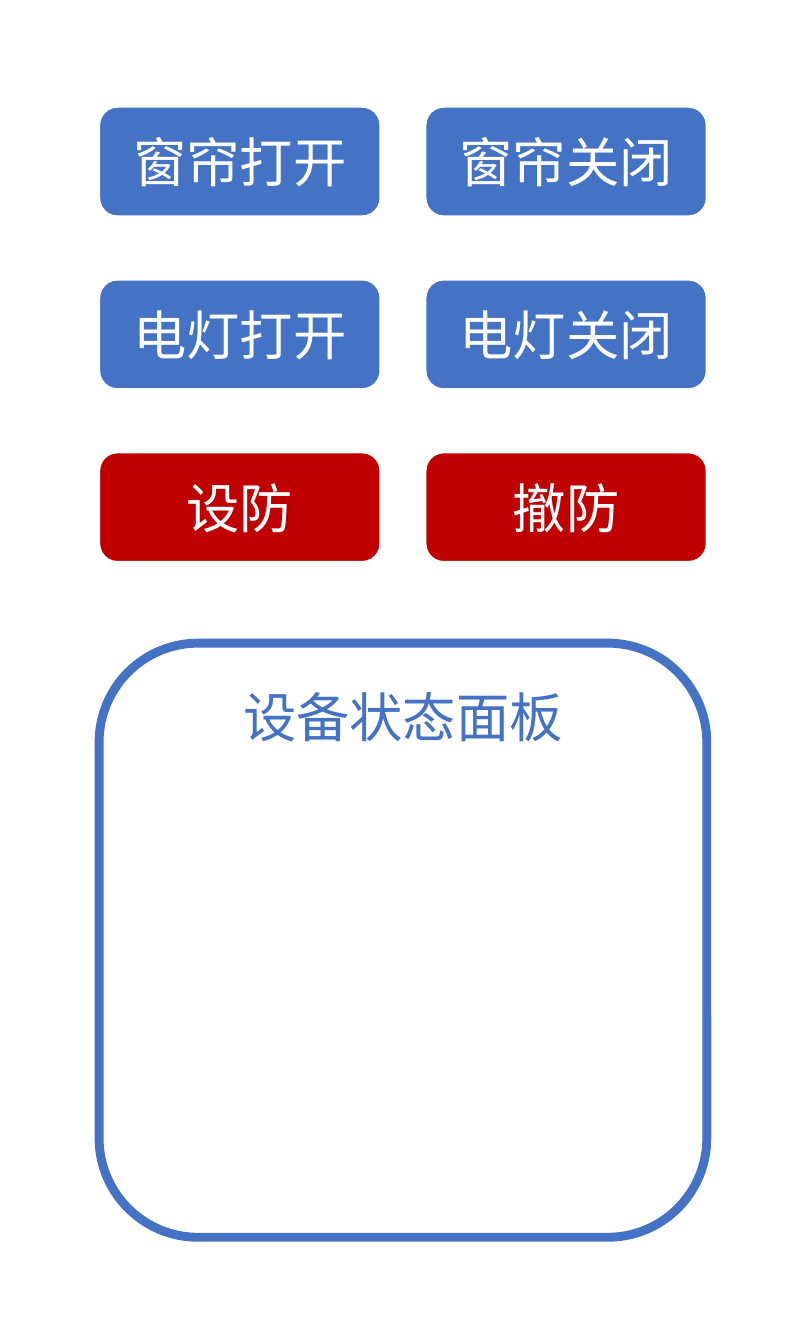
from lxml import etree
from pptx import Presentation
from pptx import util as u
from pptx.dml.color import RGBColor
from pptx.enum import shapes, text
from pptx.oxml.ns import qn

# Content
BLUE, RED, WHITE = "4472C4", "C00000", "FFFFFF"
FONT = "Noto Sans CJK SC"
BUTTON_ROWS = [
    (BLUE, ["窗帘打开", "窗帘关闭"]),
    (BLUE, ["电灯打开", "电灯关闭"]),
    (RED, ["设防", "撤防"]),
]
PANEL_TITLE = "设备状态面板"

# Layout, in px at 100 px to the inch
SLIDE_SIZE = (756, 1260)
LEFT, TOP = 93, 100
BUTTON_WIDTH, BUTTON_HEIGHT = 264, 103
COLUMN_STEP, ROW_STEP = 306, 162
PANEL_TOP, PANEL_HEIGHT = 603, 557
PANEL_WIDTH = COLUMN_STEP + BUTTON_WIDTH
PANEL_INSET = 11


def px(length):
    return u.Emu(length * 9144)


def color(value):
    return RGBColor.from_string(value)


def add_rounded_box(slide, box, label, fill, line, line_width, font_color):
    shape = slide.shapes.add_shape(
        shapes.MSO_SHAPE.ROUNDED_RECTANGLE, *[px(length) for length in box])
    shape.shadow.inherit = False
    shape.fill.solid()
    shape.fill.fore_color.rgb = color(fill)
    shape.line.color.rgb = color(line)
    shape.line.width = u.Pt(line_width)
    frame = shape.text_frame
    frame.word_wrap = True
    frame.vertical_anchor = text.MSO_ANCHOR.MIDDLE
    paragraph = frame.paragraphs[0]
    paragraph.text = label
    paragraph.alignment = text.PP_ALIGN.CENTER
    font = paragraph.font
    font.size = u.Pt(36)
    font.name = FONT
    font.color.rgb = color(font_color)
    # East Asian typeface
    etree.SubElement(font._element, qn("a:ea"), typeface=FONT)
    return shape


presentation = Presentation()
presentation.slide_width, presentation.slide_height = map(px, SLIDE_SIZE)
slide = presentation.slides.add_slide(presentation.slide_layouts[6])

# Buttons
for row, (fill, labels) in enumerate(BUTTON_ROWS):
    for column, label in enumerate(labels):
        box = (LEFT + column * COLUMN_STEP, TOP + row * ROW_STEP,
               BUTTON_WIDTH, BUTTON_HEIGHT)
        add_rounded_box(slide, box, label, fill, WHITE, 1.5, WHITE)

# Status panel
panel = add_rounded_box(slide, (LEFT, PANEL_TOP, PANEL_WIDTH, PANEL_HEIGHT),
                        PANEL_TITLE, WHITE, BLUE, 6, BLUE)
panel.text_frame.vertical_anchor = text.MSO_ANCHOR.TOP
panel.text_frame.margin_top = px(PANEL_INSET)

presentation.save("out.pptx")
